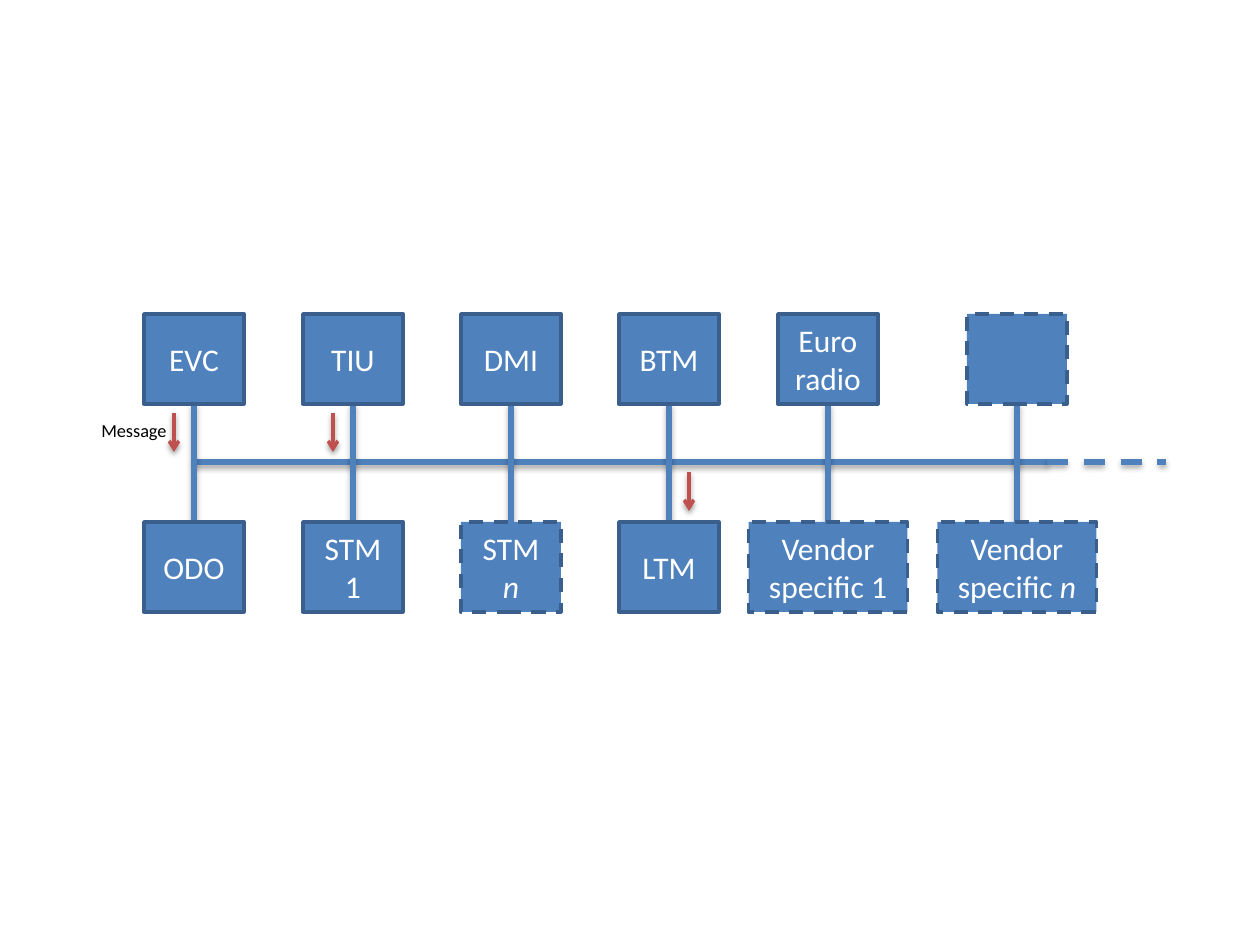
from dataclasses import dataclass

from lxml import etree
from pptx import Presentation
from pptx.dml.color import RGBColor
from pptx.enum.dml import MSO_LINE
from pptx.enum.shapes import MSO_CONNECTOR, MSO_SHAPE
from pptx.enum.text import MSO_ANCHOR, MSO_AUTO_SIZE, PP_ALIGN
from pptx.oxml import parse_xml
from pptx.oxml.ns import nsdecls, qn
from pptx.util import Pt

SCALE = 914400 // 126
RECTANGLE = MSO_SHAPE.RECTANGLE
STRAIGHT = MSO_CONNECTOR.STRAIGHT
DASH = MSO_LINE.DASH
MIDDLE = MSO_ANCHOR.MIDDLE
FIT_SHAPE = MSO_AUTO_SIZE.SHAPE_TO_FIT_TEXT
CENTER, RIGHT = PP_ALIGN.CENTER, PP_ALIGN.RIGHT


@dataclass(frozen=True)
class Theme:
    """Colours, font and sizes of the slide."""
    blue: str = "4F81BD"
    outline: str = "3A5F8C"
    red: str = "C0504D"
    white: str = "FFFFFF"
    black: str = "000000"
    font: str = "Calibri"
    unit_size: float = 18
    label_size: float = 10.5
    bus_width: float = 3
    thin_width: float = 2


THEME = Theme()
BUS_BOX = (194, 314, 972, 298)
SOLID_BUS_WIDTH = 853
UNIT_HEIGHT = 90
NARROW, WIDE = 100, 159
ARROW_LENGTH, ARROW_GAP, ARROW_OFFSET = 39, 10, 20
BUS_SHADOW, ARROW_SHADOW = (35000, 23000), (38000, 20000)

COLUMNS = [
    (0, ([["EVC"]], NARROW, False), ([["ODO"]], NARROW, False)),
    (159, ([["TIU"]], NARROW, False), ([["STM 1"]], NARROW, False)),
    (317, ([["DMI"]], NARROW, False), ([["STM ", "n"]], NARROW, True)),
    (475, ([["BTM"]], NARROW, False), ([["LTM"]], NARROW, False)),
    (634, ([["Euro"], ["radio"]], NARROW, False), ([["Vendor specific 1"]], WIDE, True)),
    (823, ([], NARROW, True), ([["Vendor specific ", "n"]], WIDE, True)),
]
MESSAGES = [(0, True), (159, True), (475, False)]


def emu(*pixels):
    """Turn pixels into EMU."""
    return [round(pixel * SCALE) for pixel in pixels]


def apply(target, values):
    """Set every attribute named in a dict of format values."""
    for name, value in values.items():
        setattr(target, name, value)


def write(frame, paragraphs, alignment, size, color):
    """Fill a text frame; the second run of a paragraph is italic."""
    for index, texts in enumerate(paragraphs):
        paragraph = frame.add_paragraph() if index else frame.paragraphs[0]
        paragraph.alignment = alignment
        for position, text in enumerate(texts):
            run = paragraph.add_run()
            run.text = text
            apply(run.font, {"name": THEME.font, "size": Pt(size), "italic": position > 0})
            run.font.color.rgb = RGBColor.from_string(color)


def style_line(line, color, width, dashed=False):
    """Set the colour, width and dash of a line."""
    line.color.rgb = RGBColor.from_string(color)
    line.width = Pt(width)
    if dashed:
        line.dash_style = DASH


def add_line(slide, ends, color, width, shadow, dashed=False, arrow=False):
    """Draw a straight line with a soft shadow below it."""
    connector = slide.shapes.add_connector(STRAIGHT, *emu(*ends))
    style_line(connector.line, color, width, dashed)
    if arrow:
        etree.SubElement(connector.line._get_or_add_ln(), qn("a:tailEnd"), type="arrow")
    alpha, distance = shadow
    connector._element.spPr.append(parse_xml(
        f'<a:effectLst {nsdecls("a")}><a:outerShdw blurRad="40000" dist="{distance}" '
        f'dir="5400000" rotWithShape="0"><a:srgbClr val="{THEME.black}">'
        f'<a:alpha val="{alpha}"/></a:srgbClr></a:outerShdw></a:effectLst>'))


def add_unit(slide, box, paragraphs, dashed):
    """Draw one unit with its name."""
    shape = slide.shapes.add_shape(RECTANGLE, *emu(*box))
    shape.shadow.inherit = False
    shape.fill.solid()
    shape.fill.fore_color.rgb = RGBColor.from_string(THEME.blue)
    style_line(shape.line, THEME.outline, THEME.thin_width, dashed)
    apply(shape.text_frame, {"word_wrap": True, "vertical_anchor": MIDDLE})
    write(shape.text_frame, paragraphs, CENTER, THEME.unit_size, THEME.white)


def add_column(slide, box, upper, lower):
    """Draw two units joined by a link, centred on the left edge of the box."""
    center, top, height = box
    lower_top = top + height - UNIT_HEIGHT
    add_line(slide, (center, top + UNIT_HEIGHT, center, lower_top),
             THEME.blue, THEME.bus_width, BUS_SHADOW)
    for unit_top, (paragraphs, width, dashed) in ((top, upper), (lower_top, lower)):
        add_unit(slide, (center - width / 2, unit_top, width, UNIT_HEIGHT), paragraphs, dashed)


def add_message(slide, center, bus, above):
    """Draw a message arrow towards the bus or away from it."""
    side = -1 if above else 1
    left = center + side * ARROW_OFFSET
    start = bus - ARROW_GAP - ARROW_LENGTH if above else bus + ARROW_GAP
    add_line(slide, (left, start, left, start + ARROW_LENGTH),
             THEME.red, THEME.thin_width, ARROW_SHADOW, arrow=True)


def add_label(slide, box, text):
    """Write a small right-aligned label."""
    frame = slide.shapes.add_textbox(*emu(*box)).text_frame
    apply(frame, {"word_wrap": False, "auto_size": FIT_SHAPE})
    write(frame, [[text]], RIGHT, THEME.label_size, THEME.black)


def add_bus_diagram(slide, box):
    """Draw the bus, its units and its messages inside the box."""
    left, top, width, height = box
    bus = top + height // 2 - 1
    split = left + SOLID_BUS_WIDTH
    add_label(slide, (left - 110, bus - 49, 95, 37), "Message")
    add_line(slide, (left, bus, split, bus), THEME.blue, THEME.bus_width, BUS_SHADOW)
    for offset, upper, lower in COLUMNS:
        add_column(slide, (left + offset, top, height), upper, lower)
    add_line(slide, (split, bus, left + width, bus),
             THEME.blue, THEME.bus_width, BUS_SHADOW, dashed=True)
    for offset, above in MESSAGES:
        add_message(slide, left + offset, bus, above)


def main():
    """Build and save the presentation."""
    presentation = Presentation()
    width, height = emu(1260, 945)
    apply(presentation, {"slide_width": width, "slide_height": height})
    slide = presentation.slides.add_slide(presentation.slide_layouts[6])
    add_bus_diagram(slide, BUS_BOX)
    presentation.save("out.pptx")


main()
